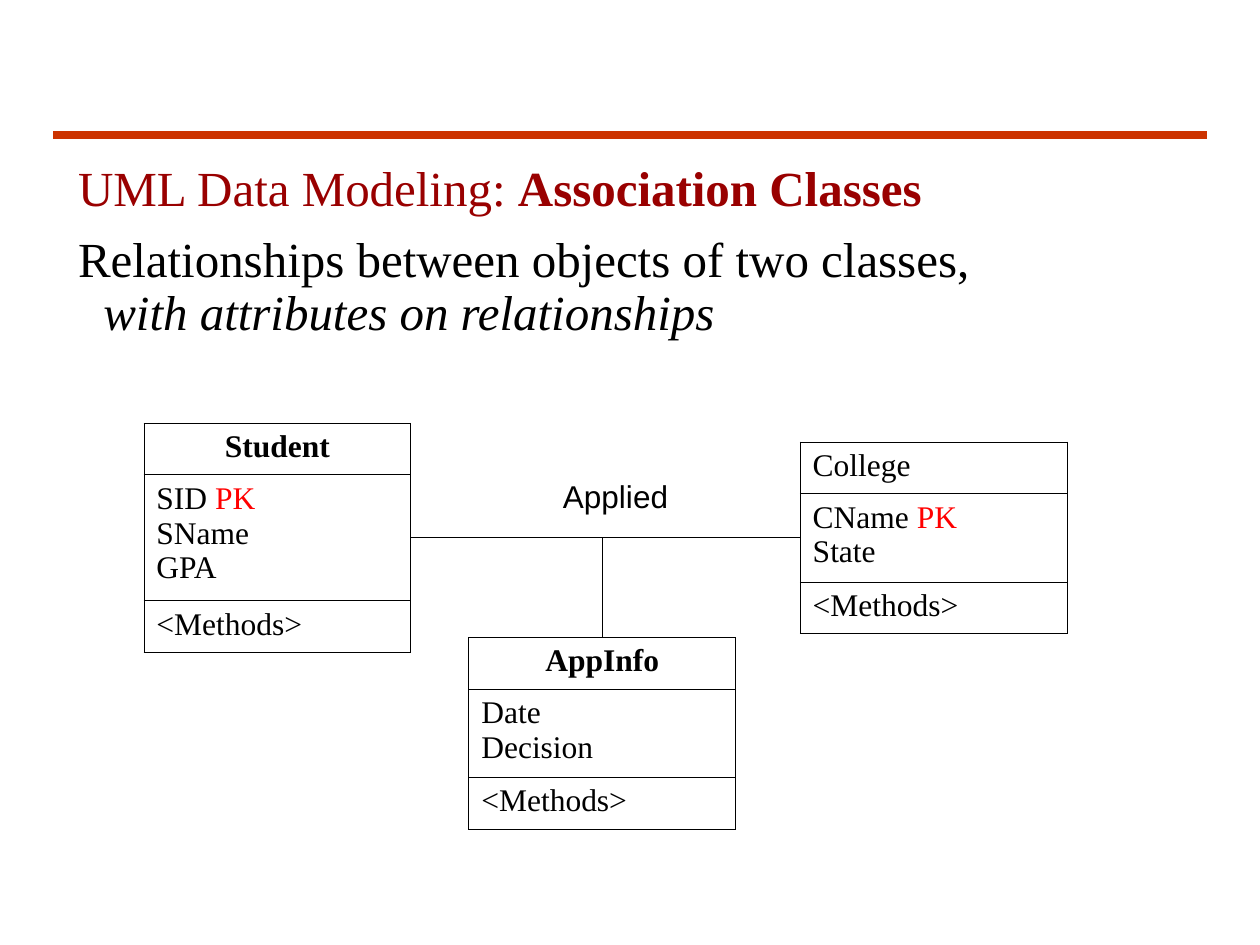
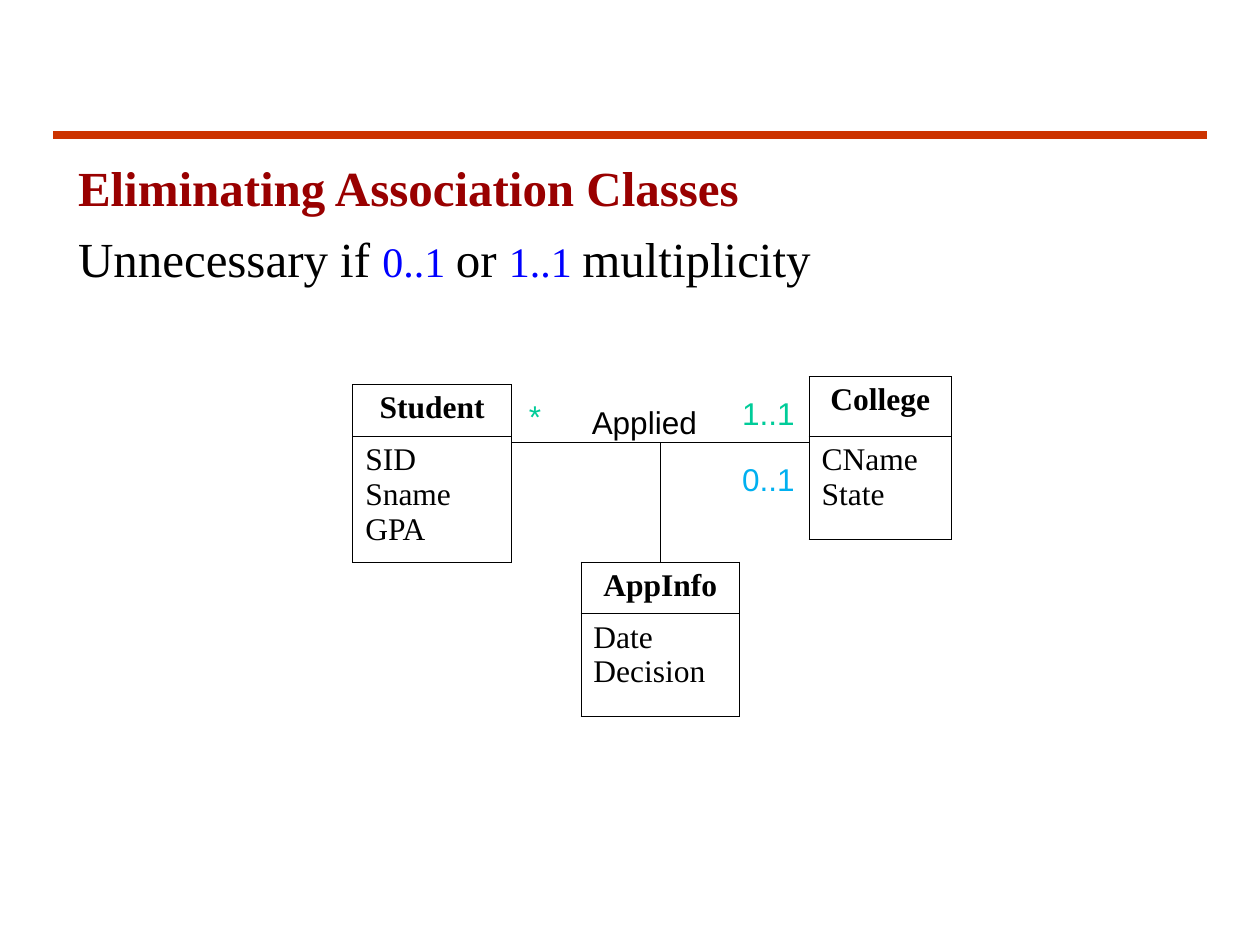
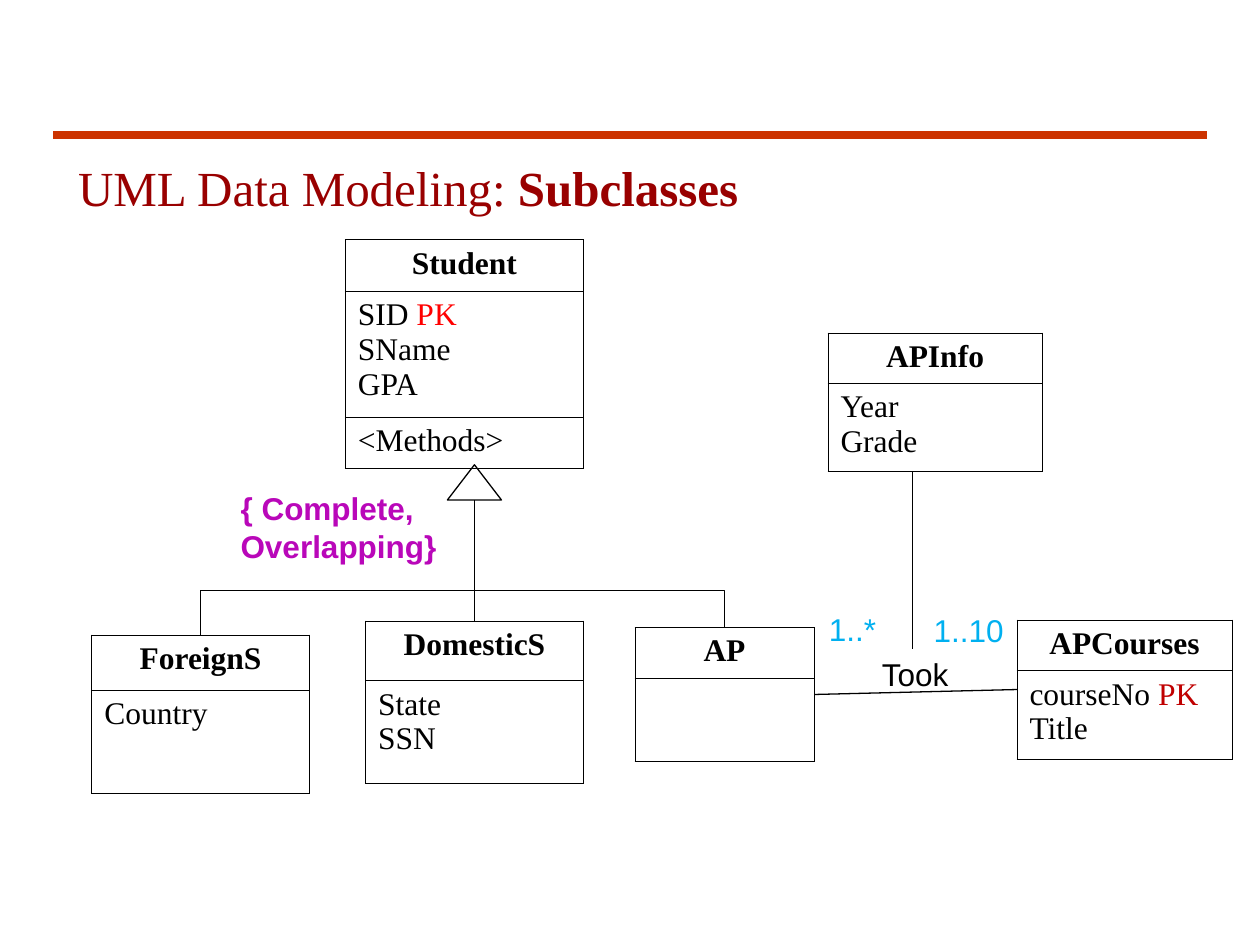
from dataclasses import dataclass

from lxml import etree
from pptx import Presentation
from pptx.dml.color import RGBColor
from pptx.enum.shapes import MSO_CONNECTOR, MSO_SHAPE
from pptx.enum.text import MSO_ANCHOR, MSO_AUTO_SIZE, PP_ALIGN
from pptx.oxml.ns import qn
from pptx.util import Cm, Pt

STRAIGHT, ELBOW = MSO_CONNECTOR.STRAIGHT, MSO_CONNECTOR.ELBOW
TRIANGLE = MSO_SHAPE.ISOSCELES_TRIANGLE
TOP, NO_FIT = MSO_ANCHOR.TOP, MSO_AUTO_SIZE.NONE
LEFT, CENTER = PP_ALIGN.LEFT, PP_ALIGN.CENTER

SERIF, SANS = "Times New Roman", "Arial"
BLACK, DARK_RED, RULE_RED = "000000", "990000", "CC3300"
KEY_RED, COURSE_KEY_RED, BLUE = "FF0000", "C00000", "0000FF"
GREEN, SKY, PURPLE = "00CC99", "00B0F0", "B907B9"

NAME_ROW, METHODS_ROW = 1.04, 1.04
TITLE_LAYOUT, LIST_LAYOUT = 5, 1


@dataclass
class Box:
    left: float
    top: float
    width: float
    height: float

    @property
    def right(self):
        return self.left + self.width

    @property
    def bottom(self):
        return self.top + self.height

    @property
    def center(self):
        return self.left + self.width / 2

    @property
    def middle(self):
        return self.top + self.height / 2

    def inner(self, left, top, width, height):
        return Box(self.left + left, self.top + top, width, height)

    def lengths(self):
        return [Cm(v) for v in (self.left, self.top, self.width, self.height)]


TITLE_BOX = Box(1.07, 3.18, 23.06, 1.4)
LIST_BOX = Box(1.07, 4.62, 23.06, 2.5)


def color(code):
    return RGBColor.from_string(code)


def style_font(font, face, size, code, bold=False):
    font.name = face
    font.size = Pt(size)
    font.color.rgb = color(code)
    font.bold = bold


def add_span(para, text, code=None, size=None, bold=None, italic=None):
    span = para.add_run()
    span.text = text
    if code:
        span.font.color.rgb = color(code)
    if size:
        span.font.size = Pt(size)
    span.font.bold = bold
    span.font.italic = italic


def fill_lines(frame, lines, face=SERIF, code=BLACK, bold=False, align=LEFT, key_code=KEY_RED):
    for index, line in enumerate(lines):
        para = frame.add_paragraph() if index else frame.paragraphs[0]
        para.alignment = align
        style_font(para.font, face, 18, code, bold)
        if line.endswith(" PK"):
            add_span(para, line[:-2])
            add_span(para, "PK", key_code)
        else:
            add_span(para, line)


def heading_para(page, index, box, code):
    holder = page.placeholders[index]
    holder.left, holder.top, holder.width, holder.height = box.lengths()
    frame = holder.text_frame
    frame.word_wrap = True
    frame.auto_size = NO_FIT
    frame.vertical_anchor = TOP
    para = frame.paragraphs[0]
    para.alignment = LEFT
    para.line_spacing = 0.9
    para.space_before = Pt(0)
    props = para._p.get_or_add_pPr()
    props.set("marL", str(Cm(0.76)))
    props.set("indent", str(-Cm(0.51)))
    etree.SubElement(props, qn("a:buNone"))
    style_font(para.font, SERIF, 28, code)
    return para


def add_line(page, start, end, kind=STRAIGHT, code=BLACK, width=0.75):
    line = page.shapes.add_connector(kind, *[Cm(v) for v in (*start, *end)])
    line.line.color.rgb = color(code)
    line.line.width = Pt(width)
    props = line._element.spPr
    etree.SubElement(props, qn("a:effectLst"))
    if kind == ELBOW:
        props.find(qn("a:prstGeom")).set("prst", "bentConnector2")


def add_page(deck, layout, plain, strong):
    page = deck.slides.add_slide(deck.slide_layouts[layout])
    add_line(page, (1.07, 2.72), (24.33, 2.72), code=RULE_RED, width=4.5)
    title = heading_para(page, 0, TITLE_BOX, DARK_RED)
    if plain:
        add_span(title, plain)
    add_span(title, strong, bold=True)
    return page


def add_label(page, box, lines, code=BLACK, bold=False):
    label = page.shapes.add_textbox(*box.lengths())
    label.text_frame.word_wrap = True
    fill_lines(label.text_frame, lines, SANS, code, bold)


def border_cell(cell):
    props = cell._tc.get_or_add_tcPr()
    for side in ("lnL", "lnR", "lnT", "lnB"):
        edge = etree.SubElement(props, qn(f"a:{side}"), w=str(Pt(0.45)))
        paint = etree.SubElement(edge, qn("a:solidFill"))
        etree.SubElement(paint, qn("a:srgbClr"), val=BLACK)
    cell.fill.background()


def add_class(page, area, left, top, width, heights, name, attributes,
              centered=True, key_code=KEY_RED):
    box = area.inner(left, top, width, sum(heights))
    table = page.shapes.add_table(len(heights), 1, *box.lengths()).table
    table.first_row = table.horz_banding = False
    sections = [[name], attributes, ["<Methods>"]]
    for index, (height, lines) in enumerate(zip(heights, sections)):
        table.rows[index].height = Cm(height)
        cell = table.cell(index, 0)
        border_cell(cell)
        is_name = index == 0 and centered
        fill_lines(cell.text_frame, lines, bold=is_name,
                   align=CENTER if is_name else LEFT, key_code=key_code)
    return box


def link_classes(page, start, end, info, height):
    add_line(page, (start.right, height), (end.left, height))
    add_line(page, (info.center, height), (info.center, info.top))


def association_diagram(page, area):
    short = [NAME_ROW, 1.78, METHODS_ROW]
    student = add_class(page, area, 0, 0, 5.38, [NAME_ROW, 2.54, METHODS_ROW],
                        "Student", ["SID PK", "SName", "GPA"])
    college = add_class(page, area, 13.23, 0.38, 5.38, short,
                        "College", ["CName PK", "State"], centered=False)
    info = add_class(page, area, 6.55, 4.32, 5.38, short, "AppInfo", ["Date", "Decision"])
    link_classes(page, student, college, info, student.middle)
    add_label(page, area.inner(8.2, 0.97, 3.81, 1.02), ["Applied"])


def elimination_diagram(page, area):
    student = add_class(page, area, 0, 0.16, 3.2, [NAME_ROW, 2.54],
                        "Student", ["SID", "Sname", "GPA"])
    college = add_class(page, area, 9.2, 0, 2.87, [1.2, 2.08], "College", ["CName", "State"])
    info = add_class(page, area, 4.6, 3.74, 3.2, [NAME_ROW, 2.08],
                     "AppInfo", ["Date", "Decision"])
    link_classes(page, student, college, info, area.top + 1.33)
    for left, top, text, code in [(7.6, 0.23, "1..1", GREEN), (3.3, 0.28, "*", GREEN),
                                  (7.6, 1.55, "0..1", SKY)]:
        add_label(page, area.inner(left, top, 2.03, 1.02), [text], code)
    add_label(page, area.inner(4.57, 0.41, 3.81, 1.02), ["Applied"])


def inheritance_diagram(page, area):
    add_class(page, area, 5.11, 0, 4.8, [NAME_ROW, 2.54, METHODS_ROW],
              "Student", ["SID PK", "SName", "GPA"])
    domestic = add_class(page, area, 5.52, 7.69, 4.39, [1.2, 2.08],
                         "DomesticS", ["State", "SSN"])
    advanced = add_class(page, area, 10.95, 7.82, 3.61, [1.02, 1.68], "AP", [""])
    foreign = add_class(page, area, 0, 7.97, 4.39, [1.12, 2.08], "ForeignS", ["Country"])

    head = area.inner(7.17, 4.54, 1.09, 0.71)
    arrow = page.shapes.add_shape(TRIANGLE, *head.lengths())
    arrow.shadow.inherit = False
    arrow.fill.background()
    arrow.line.color.rgb = color(BLACK)
    arrow.line.width = Pt(0.75)
    add_line(page, (head.center, head.bottom), (head.center, domestic.top))
    for subclass in (foreign, advanced):
        add_line(page, (head.center, area.top + 7.08), (subclass.center, subclass.top), ELBOW)
    add_label(page, area.inner(2.75, 4.9, 5.28, 1.78),
              ["{ Complete,", "Overlapping}"], PURPLE, bold=True)

    courses = add_class(page, area, 18.65, 7.67, 4.34, [1.02, 1.78], "APCourses",
                        ["courseNo PK", "Title"], key_code=COURSE_KEY_RED)
    info = add_class(page, area, 14.84, 1.88, 4.32, [1.02, 1.78], "APInfo", ["Year", "Grade"])
    add_line(page, (advanced.right, advanced.middle), (courses.left, courses.middle))
    stem = area.left + 16.54
    add_line(page, (stem, info.bottom), (stem, area.top + 8.25))
    for left, top, text, code in [(15.68, 8.25, "Took", BLACK), (16.72, 7.36, "1..10", SKY),
                                  (14.61, 7.34, "1..*", SKY)]:
        add_label(page, area.inner(left, top, 2.06, 1.02), [text], code)


def association_page(deck):
    page = add_page(deck, LIST_LAYOUT, "UML Data Modeling: ", "Association Classes")
    para = heading_para(page, 1, LIST_BOX, BLACK)
    add_span(para, "Relationships between objects of two classes,")
    para.add_line_break()
    add_span(para, "with attributes on relationships", italic=True)
    association_diagram(page, Box(2.9, 8.53, 18.61, 8.18))


def elimination_page(deck):
    page = add_page(deck, LIST_LAYOUT, "", "Eliminating Association Classes")
    para = heading_para(page, 1, LIST_BOX, BLACK)
    add_span(para, "Unnecessary if ")
    add_span(para, "0..1 ", BLUE, 24)
    add_span(para, "or ")
    add_span(para, "1..1 ", BLUE, 24)
    add_span(para, "multiplicity")
    elimination_diagram(page, Box(7.11, 7.59, 12.07, 6.86))


def subclass_page(deck):
    page = add_page(deck, TITLE_LAYOUT, "UML Data Modeling: ", "Subclasses")
    inheritance_diagram(page, Box(1.85, 4.83, 22.99, 11.17))


def main():
    deck = Presentation()
    deck.slide_width, deck.slide_height = Cm(25.4), Cm(19.05)
    association_page(deck)
    elimination_page(deck)
    subclass_page(deck)
    deck.save("out.pptx")


if __name__ == "__main__":
    main()
